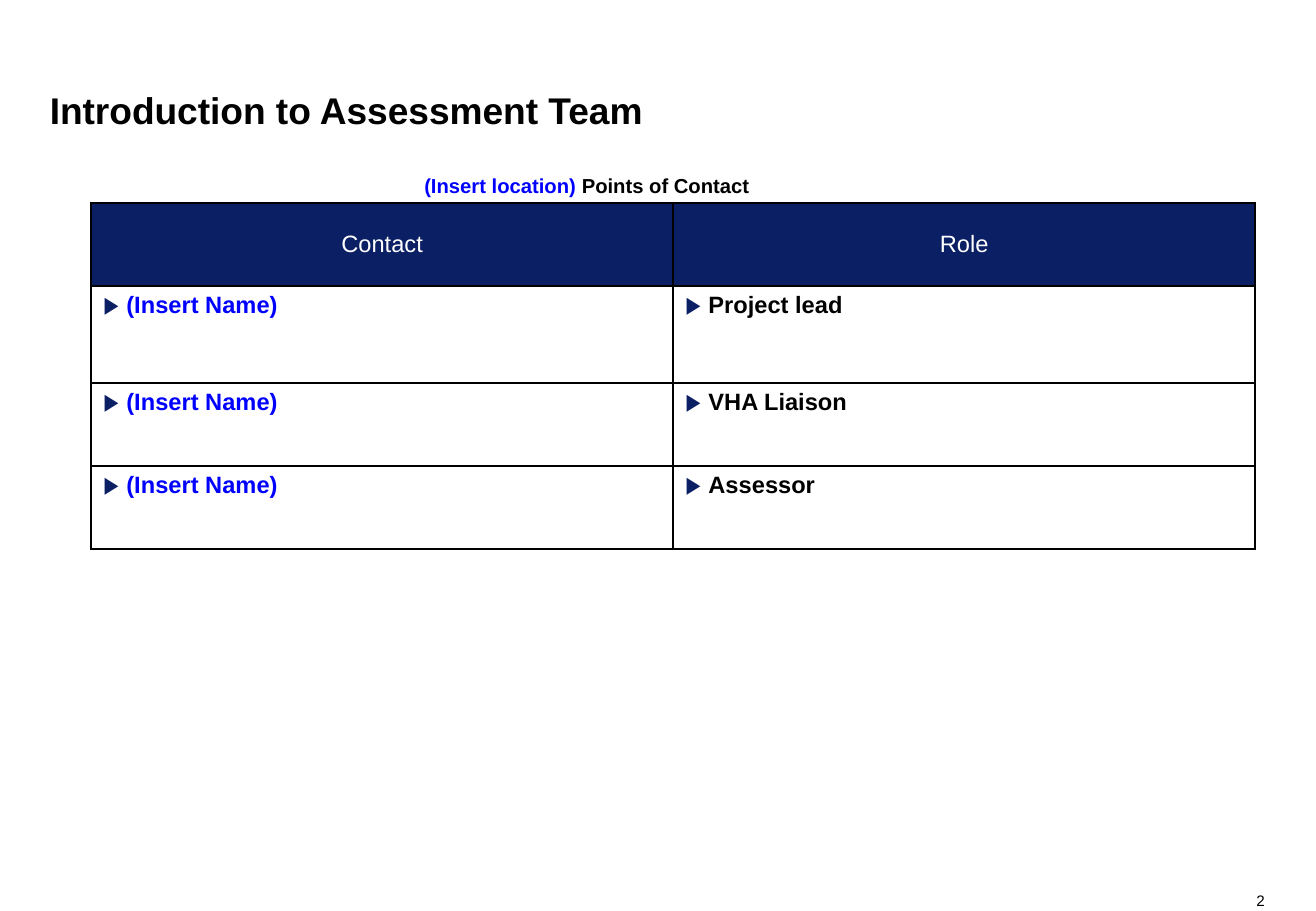
from dataclasses import dataclass

from lxml.etree import SubElement
from pptx import Presentation
from pptx.dml.color import RGBColor as RGB
from pptx.enum.text import MSO_ANCHOR as ANCHOR, PP_ALIGN as ALIGN
from pptx.oxml.ns import qn
from pptx.util import Inches, Pt


@dataclass(frozen=True)
class Theme:
    font: str = "Arial"
    navy: str = "0B1F65"
    blue: str = "0000FF"
    black: str = "000000"
    white: str = "FFFFFF"
    title: int = 22
    caption: int = 12
    body: int = 14
    number: int = 9


THEME = Theme()
WIDTH, HEIGHT = 10.83, 7.5
TITLE_BOX = (0.41, 0.17, 9.83, 0.92)
CAPTION_BOX = (2.91, 1.41, 3.84, 0.24)
TABLE_BOX = (0.75, 1.67, 9.58, 2.85)
NUMBER_BOX = (10.26, 7.34, 0.15, 0.15)
ROW_SHARES = (0.24, 0.28, 0.24, 0.24)
HEADERS = ("Contact", "Role")
ROLES = ("Project lead", "VHA Liaison", "Assessor")
PLACEHOLDER = "(Insert Name)"


def write(p, parts, size, bold=False, align=ALIGN.LEFT):
    """Fill a paragraph with (text, colour) parts."""
    p.alignment = align
    for text, color in parts:
        r = p.add_run()
        r.text = text
        r.font.name, r.font.size, r.font.bold = THEME.font, Pt(size), bold
        r.font.color.rgb = RGB.from_string(color)


def add_text(s, box, parts, size, bold=False, align=ALIGN.LEFT,
             anchor=ANCHOR.MIDDLE, wrap=True):
    tf = s.shapes.add_textbox(*map(Inches, box)).text_frame
    tf.margin_left = tf.margin_right = tf.margin_top = tf.margin_bottom = 0
    tf.word_wrap, tf.vertical_anchor = wrap, anchor
    write(tf.paragraphs[0], parts, size, bold, align)
    return tf.paragraphs[0]


def add_bullet(p):
    pPr = p._p.get_or_add_pPr()
    pPr.set("marL", str(Inches(0.19)))
    pPr.set("indent", str(-Inches(0.19)))
    SubElement(SubElement(pPr, qn("a:buClr")), qn("a:srgbClr"), val=THEME.navy)
    SubElement(pPr, qn("a:buFont"), typeface=THEME.font)
    SubElement(pPr, qn("a:buChar"), char="▶")


def add_borders(cell):
    tcPr = cell._tc.get_or_add_tcPr()
    for side in ("lnL", "lnR", "lnT", "lnB"):
        ln = SubElement(tcPr, qn(f"a:{side}"), w=str(Pt(1)))
        SubElement(SubElement(ln, qn("a:solidFill")), qn("a:srgbClr"), val=THEME.black)


def header_cell(cell, text):
    cell.margin_left = cell.margin_right = Inches(0.05)
    cell.vertical_anchor = ANCHOR.MIDDLE
    cell.fill.solid()
    cell.fill.fore_color.rgb = RGB.from_string(THEME.navy)
    write(cell.text_frame.paragraphs[0], [(text, THEME.white)], THEME.body,
          align=ALIGN.CENTER)


def body_cell(cell, text, color):
    cell.fill.background()
    p = cell.text_frame.paragraphs[0]
    add_bullet(p)
    write(p, [(text, color)], THEME.body, bold=True)


def contact_table(s, box):
    _, _, width, height = box
    frame = s.shapes.add_table(len(ROW_SHARES), len(HEADERS), *map(Inches, box))
    table = frame.table
    table.first_row = table.horz_banding = False
    for column in table.columns:
        column.width = Inches(width / len(HEADERS))
    for row, share in zip(table.rows, ROW_SHARES):
        row.height = Inches(height * share)
    for cell in table.iter_cells():
        add_borders(cell)
    for col, text in enumerate(HEADERS):
        header_cell(table.cell(0, col), text)
    for row, role in enumerate(ROLES, start=1):
        body_cell(table.cell(row, 0), PLACEHOLDER, THEME.blue)
        body_cell(table.cell(row, 1), role, THEME.black)


def team_slide(prs):
    s = prs.slides.add_slide(prs.slide_layouts[6])
    add_text(s, NUMBER_BOX, [("2", THEME.black)], THEME.number,
             align=ALIGN.RIGHT, wrap=False)
    title = add_text(s, TITLE_BOX, [("Introduction to Assessment Team", THEME.black)],
                     THEME.title, bold=True, anchor=ANCHOR.BOTTOM)
    title.line_spacing = 0.9
    add_text(s, CAPTION_BOX,
             [("(Insert location)", THEME.blue), (" Points of Contact", THEME.black)],
             THEME.caption, bold=True, align=ALIGN.CENTER)
    contact_table(s, TABLE_BOX)


def main():
    prs = Presentation()
    prs.slide_width, prs.slide_height = Inches(WIDTH), Inches(HEIGHT)
    team_slide(prs)
    prs.save("out.pptx")


if __name__ == "__main__":
    main()
